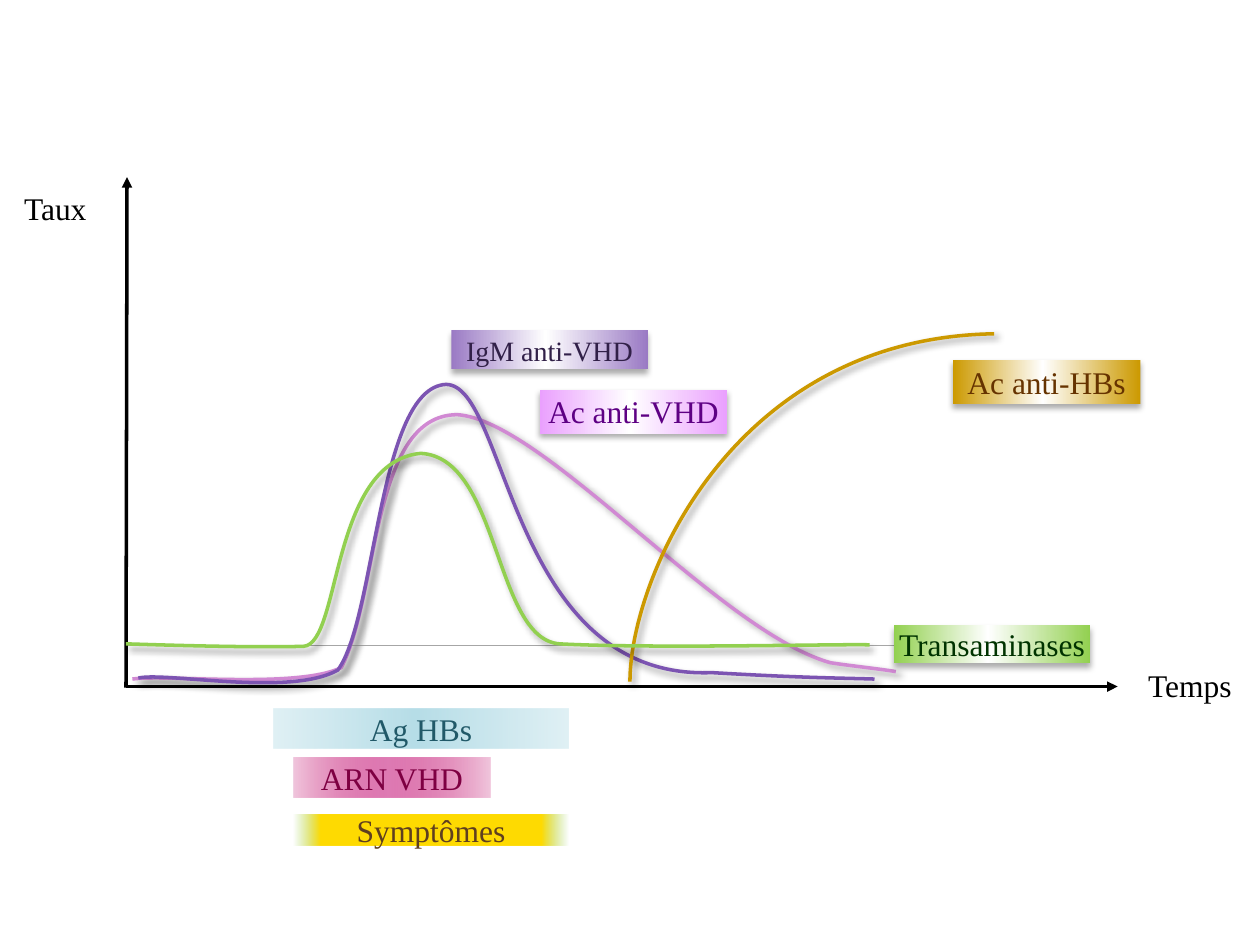
from lxml import etree
from pptx import Presentation, util as u
from pptx.enum import shapes, text
from pptx.dml.color import RGBColor
from pptx.oxml.ns import qn

FONT = "Times New Roman"
ORIGIN_X, ORIGIN_Y = 2.54, 13.84
BASELINE_Y = 13.01
COLORS = {
    "black": "000000", "white": "FFFFFF", "grey": "A6A6A6",
    "orchid": "D189D3", "pink": "EAA0FE", "plum": "5E0084",
    "purple": "7C54B2", "lilac": "9A7AC4", "violet": "312048",
    "ochre": "CC9900", "brown": "663300", "green": "92D050", "forest": "003300",
    "yellow": "FFDB01", "umber": "5F3F1F", "magenta": "C00065", "rose": "DF7BB4",
    "wine": "7E0042", "sky": "B7DEE8", "teal": "215968",
}
CURVE_SHADOW = (40, 4, 3, 45)
LABEL_SHADOW = (32, 3.5, 2.2, 90)

# Each curve: start point, then control, control, end for every Bézier segment
TOTAL_ANTI_VHD = [
    (2.67, 13.69), (3.33, 13.59), (5.99, 13.89), (6.88, 13.46),
    (7.65, 11.99), (7.47, 8.36), (9.22, 8.36),
    (10.97, 8.48), (14.5, 12.73), (16.74, 13.36),
    (17.04, 13.41), (17.78, 13.49), (18.06, 13.54)]
IGM_ANTI_VHD = [
    (2.79, 13.67), (3.35, 13.54), (5.84, 14.05), (6.81, 13.51),
    (7.59, 12.45), (7.62, 7.82), (8.99, 7.75),
    (10.24, 7.75), (10.26, 13.72), (14.35, 13.56),
    (16.21, 13.67), (17.07, 13.67), (17.63, 13.69)]
ANTI_HBS = [(12.7, 13.74), (12.7, 11.68), (14.76, 6.81), (20.04, 6.73)]
TRANSAMINASES = [
    (2.54, 12.98), (3.2, 13), (4.98, 13.06), (6.12, 13.03),
    (6.88, 12.98), (6.65, 9.32), (8.48, 9.14),
    (10.08, 9.22), (9.96, 12.88), (11.28, 12.98),
    (13.16, 13.08), (16.97, 12.98), (17.53, 13)]


def rgb(name):
    return RGBColor.from_string(COLORS[name])


def add_color(parent, name, alpha=100):
    color = etree.SubElement(parent, qn("a:srgbClr"), val=COLORS[name])
    if alpha < 100:
        etree.SubElement(color, qn("a:alpha"), val=str(alpha * 1000))


def set_shadow(shape, shadow):
    """Give an outer shadow of (opacity, blur, distance, angle), or none."""
    shape.shadow.inherit = False
    if shadow:
        alpha, blur, distance, angle = shadow
        effects = shape._element.spPr.find(qn("a:effectLst"))
        outer = etree.SubElement(
            effects, qn("a:outerShdw"), blurRad=str(u.Pt(blur)),
            dist=str(u.Pt(distance)), dir=str(angle * 60000),
            algn="ctr", rotWithShape="0")
        add_color(outer, "black", alpha)


def set_gradient(shape, stops):
    """Fill from left to right with stops of (percent, colour, opacity)."""
    shape.fill.gradient()
    shape.fill.gradient_angle = 0
    stop_list = next(shape._element.spPr.iter(qn("a:gsLst")))
    for old in list(stop_list):
        stop_list.remove(old)
    for position, name, alpha in stops:
        stop = etree.SubElement(stop_list, qn("a:gs"), pos=str(position * 1000))
        add_color(stop, name, alpha)


def bend(curve):
    """Turn every three straight segments into one cubic Bézier segment."""
    segments = list(curve._element.spPr.iter(qn("a:lnTo")))
    for i in range(0, len(segments), 3):
        outline = segments[i].getparent()
        cubic = etree.SubElement(outline, qn("a:cubicBezTo"))
        for segment in segments[i:i + 3]:
            cubic.append(segment[0])
            outline.remove(segment)


def add_curve(slide, controls, color):
    points = [(u.Cm(x), u.Cm(y)) for x, y in controls]
    builder = slide.shapes.build_freeform(*points[0])
    builder.add_line_segments(points[1:], close=False)
    curve = builder.convert_to_shape()
    bend(curve)
    curve.fill.background()
    curve.line.color.rgb = rgb(color)
    curve.line.width = u.Pt(2)
    set_shadow(curve, CURVE_SHADOW)


def add_line(slide, start, end, color, width, arrow=False):
    line = slide.shapes.add_connector(
        shapes.MSO_CONNECTOR.STRAIGHT, *(u.Cm(v) for v in start + end))
    line.line.color.rgb = rgb(color)
    line.line.width = u.Pt(width)
    if arrow:
        etree.SubElement(line.line._get_or_add_ln(), qn("a:headEnd"), type="triangle")
    etree.SubElement(line._element.spPr, qn("a:effectLst"))


def write(shape, words, color, size=18, inset=(0.25, 0.2), top=False):
    frame = shape.text_frame
    frame.word_wrap = True
    frame.margin_left = frame.margin_right = u.Cm(inset[0])
    frame.margin_top = frame.margin_bottom = u.Cm(inset[1])
    frame.vertical_anchor = text.MSO_ANCHOR.TOP if top else text.MSO_ANCHOR.MIDDLE
    paragraph = frame.paragraphs[0]
    paragraph.alignment = text.PP_ALIGN.CENTER
    run = paragraph.add_run()
    run.text = words
    run.font.name = FONT
    run.font.size = u.Pt(size)
    run.font.color.rgb = rgb(color)


def add_axis_title(slide, words, box):
    title = slide.shapes.add_textbox(*(u.Cm(v) for v in box))
    write(title, words, "black")


def add_band(slide, words, box, stops, color, shadow=None, **text_options):
    band = slide.shapes.add_shape(
        shapes.MSO_SHAPE.RECTANGLE, *(u.Cm(v) for v in box))
    set_gradient(band, stops)
    band.line.fill.background()
    set_shadow(band, shadow)
    write(band, words, color, **text_options)


def add_curve_label(slide, words, box, edge, color, **text_options):
    stops = [(0, edge, 100), (48, "white", 100), (100, edge, 100)]
    add_band(slide, words, box, stops, color, LABEL_SHADOW,
             inset=(0.05, 0.05), **text_options)


def add_period(slide, words, box, edge, alpha, middle, color):
    stops = [(0, edge, alpha), (48, middle, 100), (100, edge, alpha)]
    add_band(slide, words, box, stops, color, inset=(0.25, 0.13))


def main():
    deck = Presentation()
    deck.slide_width, deck.slide_height = u.Cm(25.4), u.Cm(19.05)
    slide = deck.slides.add_slide(deck.slide_layouts[6])

    add_curve(slide, TOTAL_ANTI_VHD, "orchid")
    add_axis_title(slide, "Temps", (22.02, 13, 3.94, 1.6))
    add_axis_title(slide, "Taux ", (0, 3.9, 2.39, 0.58))
    add_line(slide, (ORIGIN_X, BASELINE_Y), (19.61, BASELINE_Y), "grey", 0.75)
    add_curve_label(slide, "Ac anti-VHD", (10.88, 7.86, 3.78, 0.89), "pink", "plum", top=True)
    add_band(slide, "Symptômes", (5.92, 16.43, 5.54, 0.61),
             [(0, "green", 0), (10, "yellow", 100), (48, "yellow", 100),
              (90, "yellow", 100), (100, "green", 0)], "umber")
    add_line(slide, (22.53, ORIGIN_Y), (ORIGIN_X, ORIGIN_Y), "black", 2, arrow=True)
    add_line(slide, (2.56, 3.57), (ORIGIN_X, 13.86), "black", 2, arrow=True)
    add_curve(slide, IGM_ANTI_VHD, "purple")
    add_curve_label(slide, "IgM anti-VHD", (9.1, 6.66, 3.96, 0.79), "lilac", "violet", size=16)
    add_curve(slide, ANTI_HBS, "ochre")
    add_curve_label(slide, "Ac anti-HBs", (19.21, 7.26, 3.78, 0.89), "ochre", "brown", top=True)
    add_curve(slide, TRANSAMINASES, "green")
    add_curve_label(slide, "Transaminases", (18.02, 12.61, 3.96, 0.76), "green", "forest")
    add_period(slide, "ARN VHD", (5.92, 15.28, 3.96, 0.79), "magenta", 22, "rose", "wine")
    add_period(slide, "Ag HBs", (5.52, 14.29, 5.94, 0.79), "sky", 42, "sky", "teal")

    deck.save("out.pptx")


if __name__ == "__main__":
    main()
